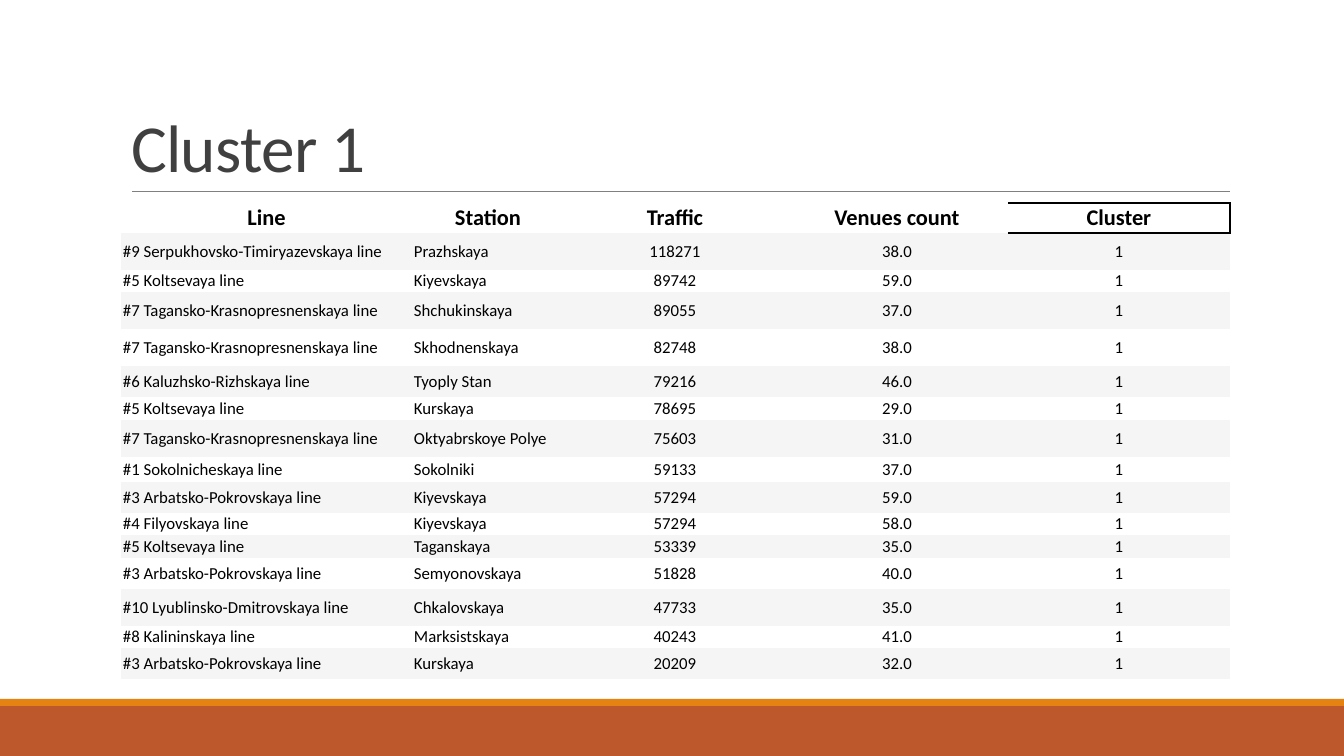
from dataclasses import dataclass

from lxml import etree
from pptx import Presentation, util as u
from pptx.dml.color import RGBColor
from pptx.enum import shapes, text
from pptx.oxml import ns

PX = 914400 / 100.8  # EMU per pixel


@dataclass(frozen=True)
class Theme:
    font: str = "Calibri"
    title: str = "404040"
    ink: str = "000000"
    rule: str = "808080"
    band: str = "F5F5F5"
    plain: str = "FFFFFF"
    footer: str = "BD582C"
    stripe: str = "E48312"
    title_size: int = 48
    header_size: int = 16
    body_size: int = 12


THEME = Theme()
NO_STYLE = "{2D5ABB26-0587-4C30-8999-92F81FD0307C}"
COLUMNS = [("Line", 291), ("Station", 152), ("Traffic", 222),
           ("Venues count", 222), ("Cluster", 222)]
HEADER_HEIGHT = 30
# Row height, line, station, traffic, venues count
STATIONS = [
    (37, "#9 Serpukhovsko-Timiryazevskaya line", "Prazhskaya", "118271", "38.0"),
    (22, "#5 Koltsevaya line", "Kiyevskaya", "89742", "59.0"),
    (37, "#7 Tagansko-Krasnopresnenskaya line", "Shchukinskaya", "89055", "37.0"),
    (37, "#7 Tagansko-Krasnopresnenskaya line", "Skhodnenskaya", "82748", "38.0"),
    (31, "#6 Kaluzhsko-Rizhskaya line", "Tyoply Stan", "79216", "46.0"),
    (22, "#5 Koltsevaya line", "Kurskaya", "78695", "29.0"),
    (37, "#7 Tagansko-Krasnopresnenskaya line", "Oktyabrskoye Polye", "75603", "31.0"),
    (25, "#1 Sokolnicheskaya line", "Sokolniki", "59133", "37.0"),
    (31, "#3 Arbatsko-Pokrovskaya line", "Kiyevskaya", "57294", "59.0"),
    (22, "#4 Filyovskaya line", "Kiyevskaya", "57294", "58.0"),
    (22, "#5 Koltsevaya line", "Taganskaya", "53339", "35.0"),
    (31, "#3 Arbatsko-Pokrovskaya line", "Semyonovskaya", "51828", "40.0"),
    (37, "#10 Lyublinsko-Dmitrovskaya line", "Chkalovskaya", "47733", "35.0"),
    (22, "#8 Kalininskaya line", "Marksistskaya", "40243", "41.0"),
    (31, "#3 Arbatsko-Pokrovskaya line", "Kurskaya", "20209", "32.0"),
]


def emu(*pixels):
    return [u.Emu(round(p * PX)) for p in pixels]


def rgb(code):
    return RGBColor.from_string(code)


def style(font, size, color, bold=False):
    font.name, font.size, font.bold = THEME.font, u.Pt(size), bold
    font.color.rgb = rgb(color)


def add_footer(slide, left, top, width, height):
    """Thin stripe above a solid bar."""
    stripe_height = 7
    for color, y, h in [(THEME.footer, top + stripe_height, height - stripe_height),
                        (THEME.stripe, top, stripe_height)]:
        bar = slide.shapes.add_shape(shapes.MSO_SHAPE.RECTANGLE, *emu(left, y, width, h))
        bar.shadow.inherit = False
        bar.fill.solid()
        bar.fill.fore_color.rgb = rgb(color)
        bar.line.fill.background()


def add_title(slide, wording, left, top, width, height):
    """Title standing on a thin rule."""
    title = slide.shapes.title
    title.left, title.top, title.width, title.height = emu(left, top, width, height)
    frame = title.text_frame
    frame.text = wording
    frame.word_wrap = True
    frame.auto_size = text.MSO_AUTO_SIZE.NONE
    frame.vertical_anchor = text.MSO_ANCHOR.BOTTOM
    heading = frame.paragraphs[0]
    heading.alignment = text.PP_ALIGN.LEFT
    heading.line_spacing = 0.85
    style(heading.font, THEME.title_size, THEME.title)
    heading.font._rPr.set("spc", "-50")

    bottom = top + height
    rule = slide.shapes.add_connector(
        shapes.MSO_CONNECTOR.STRAIGHT, *emu(left + 11, bottom, left + width, bottom))
    rule.line.color.rgb = rgb(THEME.rule)
    rule.line.width = u.Pt(0.5)
    etree.SubElement(rule._element.spPr, ns.qn("a:effectLst"))


def add_borders(cell, sides):
    properties = cell._tc.get_or_add_tcPr()
    for index, side in enumerate(sides):
        border = etree.Element(ns.qn(f"a:ln{side}"), w=str(u.Pt(1)))
        fill = etree.SubElement(border, ns.qn("a:solidFill"))
        etree.SubElement(fill, ns.qn("a:srgbClr"), val=THEME.ink)
        properties.insert(index, border)


def fill_cell(cell, wording, size, background, centred, bold):
    cell.margin_left = cell.margin_right = u.Inches(0.02)
    cell.margin_top = cell.margin_bottom = u.Inches(0.01)
    cell.vertical_anchor = text.MSO_ANCHOR.MIDDLE
    cell.fill.solid()
    cell.fill.fore_color.rgb = rgb(background)
    cell.text = wording
    paragraph = cell.text_frame.paragraphs[0]
    paragraph.alignment = text.PP_ALIGN.CENTER if centred else text.PP_ALIGN.LEFT
    style(paragraph.font, size, THEME.ink, bold)


def add_station_table(slide, cluster, left, top, width, height):
    """Banded table of the stations in one cluster."""
    headings = [heading for heading, _ in COLUMNS]
    rows = [headings] + [[*values, cluster] for _, *values in STATIONS]
    frame = slide.shapes.add_table(len(rows), len(COLUMNS), *emu(left, top, width, height))
    table = frame.table
    table._tbl.tblPr.find(ns.qn("a:tableStyleId")).text = NO_STYLE
    for column, (_, column_width) in zip(table.columns, COLUMNS):
        column.width, = emu(column_width)
    row_heights = [HEADER_HEIGHT] + [station[0] for station in STATIONS]
    for r, (values, row_height) in enumerate(zip(rows, row_heights)):
        table.rows[r].height, = emu(row_height)
        header = r == 0
        size = THEME.header_size if header else THEME.body_size
        background = THEME.band if r % 2 else THEME.plain
        for c, value in enumerate(values):
            fill_cell(table.cell(r, c), value, size, background, header or c > 1, header)
    # The cluster heading alone is outlined, open on its left
    cluster_heading = table.cell(0, len(COLUMNS) - 1)
    cluster_heading.fill.background()
    add_borders(cluster_heading, "RTB")


def build_cluster_slide(deck, cluster):
    slide = deck.slides.add_slide(deck.slide_layouts[5])
    add_footer(slide, 0, 699, 1344, 57)
    add_title(slide, f"Cluster {cluster}", 121, 31, 1109, 160)
    add_station_table(slide, cluster, 121, 203, 1109, 475)


deck = Presentation()
deck.slide_width, deck.slide_height = emu(1344, 756)
build_cluster_slide(deck, "1")
deck.save("out.pptx")
